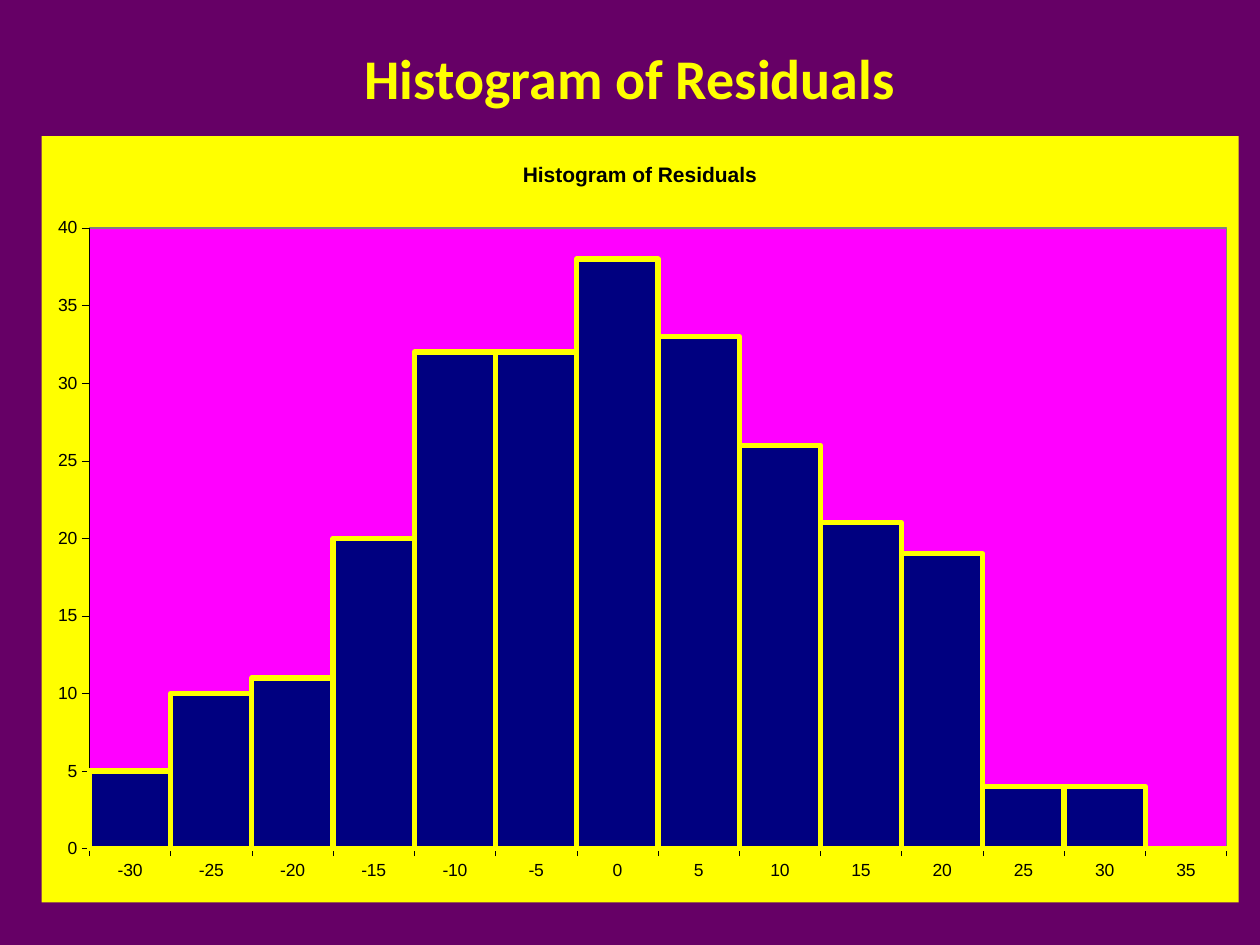
from lxml import etree
from pptx import Presentation
from pptx import util as u
from pptx.chart import data as cd
from pptx.dml.color import RGBColor
from pptx.enum import chart as ch, text
from pptx.oxml import parse_xml
from pptx.oxml.ns import nsdecls, qn

HUES = {"back": "660066", "sun": "FFFF00", "plot": "FF00FF",
        "bar": "000080", "ink": "000000", "edge": "808080"}
HEAD = "Histogram of Residuals"
BINS = range(-30, 36, 5)
COUNTS = (5, 10, 11, 20, 32, 32, 38, 33, 26, 21, 19, 4, 4, 0)


def rgb(name):
    return RGBColor.from_string(HUES[name])


def style(font, hue, **vals):
    font.color.rgb = rgb(hue)
    for key, val in vals.items():
        setattr(font, key, val)


def stroke(line, hue, width):
    line.color.rgb = rgb(hue)
    line.width = u.Pt(width)


def area(fill, line=None):
    """Shape properties for a chart region: a fill and an optional border."""
    edge = (f'<a:ln w="12700"><a:solidFill><a:srgbClr val="{HUES[line]}"/>'
            '</a:solidFill></a:ln>' if line else '<a:ln><a:noFill/></a:ln>')
    return parse_xml(f'<c:spPr {nsdecls("c", "a")}><a:solidFill>'
                     f'<a:srgbClr val="{HUES[fill]}"/></a:solidFill>{edge}</c:spPr>')


class Deck:
    def __init__(self, wide=10, high=7.5):
        self.prs = Presentation()
        self.prs.slide_width = u.Inches(wide)
        self.prs.slide_height = u.Inches(high)
        self.slide = self.prs.slides.add_slide(self.prs.slide_layouts[5])
        back = self.slide.background.fill
        back.solid()
        back.fore_color.rgb = rgb("back")

    def box(self, left, top, wide, high):
        """Turn shares of the slide into lengths."""
        w, h = self.prs.slide_width, self.prs.slide_height
        return int(left * w), int(top * h), int(wide * w), int(high * h)

    def title(self, words, *share):
        shape = self.slide.shapes.title
        shape.left, shape.top, shape.width, shape.height = self.box(*share)
        frame = shape.text_frame
        frame.text = words
        frame.vertical_anchor = text.MSO_ANCHOR.MIDDLE
        para = frame.paragraphs[0]
        para.alignment = text.PP_ALIGN.CENTER
        style(para.runs[0].font, "sun", name="Calibri", size=u.Pt(32), bold=True)

    def bars(self, words, cats, vals, *share):
        data = cd.CategoryChartData()
        data.categories = [str(c) for c in cats]
        data.add_series("Series 1", vals)
        chart = self.slide.shapes.add_chart(
            ch.XL_CHART_TYPE.COLUMN_CLUSTERED, *self.box(*share), data).chart
        style(chart.font, "ink", name="Arial", size=u.Pt(10))
        chart.has_legend = False

        # Heading inside the chart
        chart.has_title = True
        frame = chart.chart_title.text_frame
        frame.text = words
        style(frame.paragraphs[0].runs[0].font, "ink",
              name="Arial", size=u.Pt(12), bold=True)
        chart.chart_title.include_in_layout = False

        # Touching bars
        plot = chart.plots[0]
        plot.gap_width = 0
        plot.vary_by_categories = False
        row = plot.series[0]
        row.format.fill.solid()
        row.format.fill.fore_color.rgb = rgb("bar")
        stroke(row.format.line, "sun", 3)

        # Axes
        for axis in (chart.category_axis, chart.value_axis):
            axis.has_major_gridlines = False
            axis.major_tick_mark = ch.XL_TICK_MARK.OUTSIDE
            axis.minor_tick_mark = ch.XL_TICK_MARK.NONE
            stroke(axis.format.line, "ink", 0.25)
            style(axis.tick_labels.font, "ink", name="Arial", size=u.Pt(10))
        chart.category_axis.tick_label_position = ch.XL_TICK_LABEL_POSITION.LOW
        scale = {"minimum_scale": 0, "maximum_scale": 40, "major_unit": 5}
        for key, val in scale.items():
            setattr(chart.value_axis, key, val)
        return chart

    def regions(self, chart, x, y, w, h):
        """Colour the chart and its plot, and fix the inner plot place."""
        root = chart.element
        root.find(qn("c:chart")).addnext(area("sun"))
        plot = root.find(".//" + qn("c:plotArea"))
        plot.append(area("plot", "edge"))
        for old in plot.findall(qn("c:layout")):
            plot.remove(old)
        layout = etree.Element(qn("c:layout"))
        manual = etree.SubElement(layout, qn("c:manualLayout"))
        place = {"layoutTarget": "inner", "xMode": "edge", "yMode": "edge",
                 "x": x, "y": y, "w": w, "h": h}
        for key, val in place.items():
            etree.SubElement(manual, qn("c:" + key)).set("val", str(val))
        plot.insert(0, layout)


def main():
    deck = Deck()
    # Slide heading
    deck.title(HEAD, 0.05, 0.04, 0.9, 0.083)
    # Histogram
    chart = deck.bars(HEAD, BINS, COUNTS, 0.033, 0.144, 0.95, 0.811)
    deck.regions(chart, 0.04, 0.12, 0.95, 0.81)
    deck.prs.save("out.pptx")


if __name__ == "__main__":
    main()
